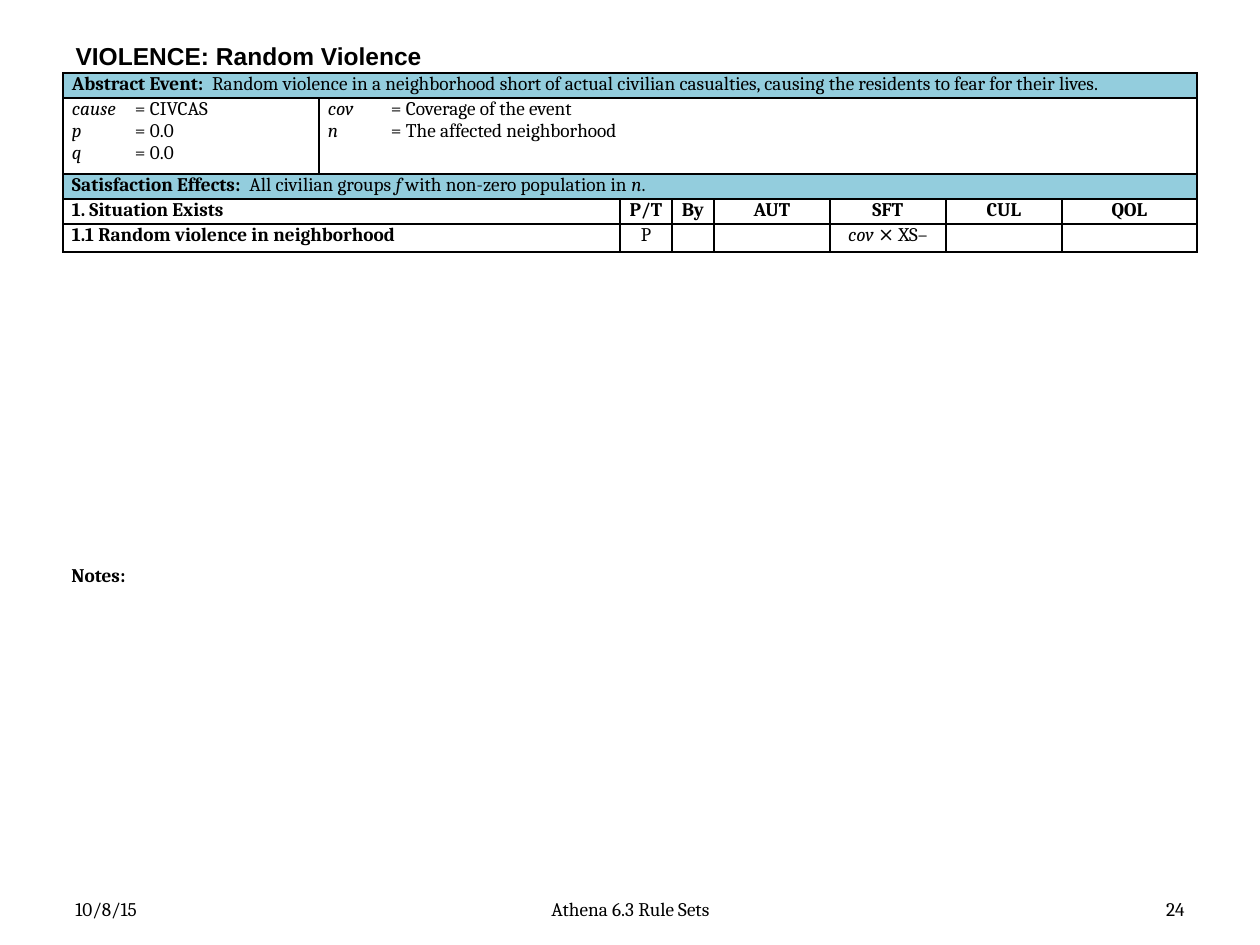
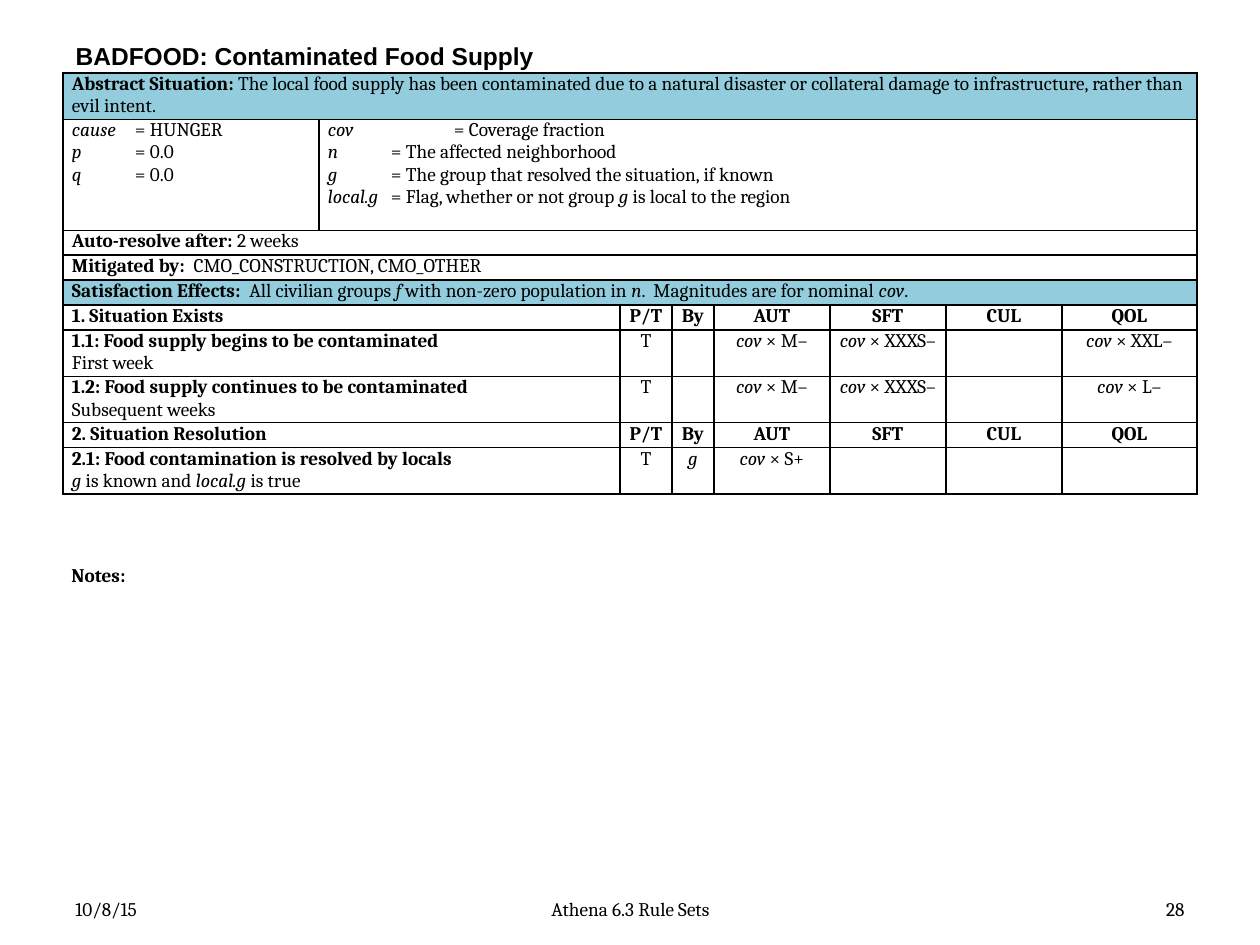
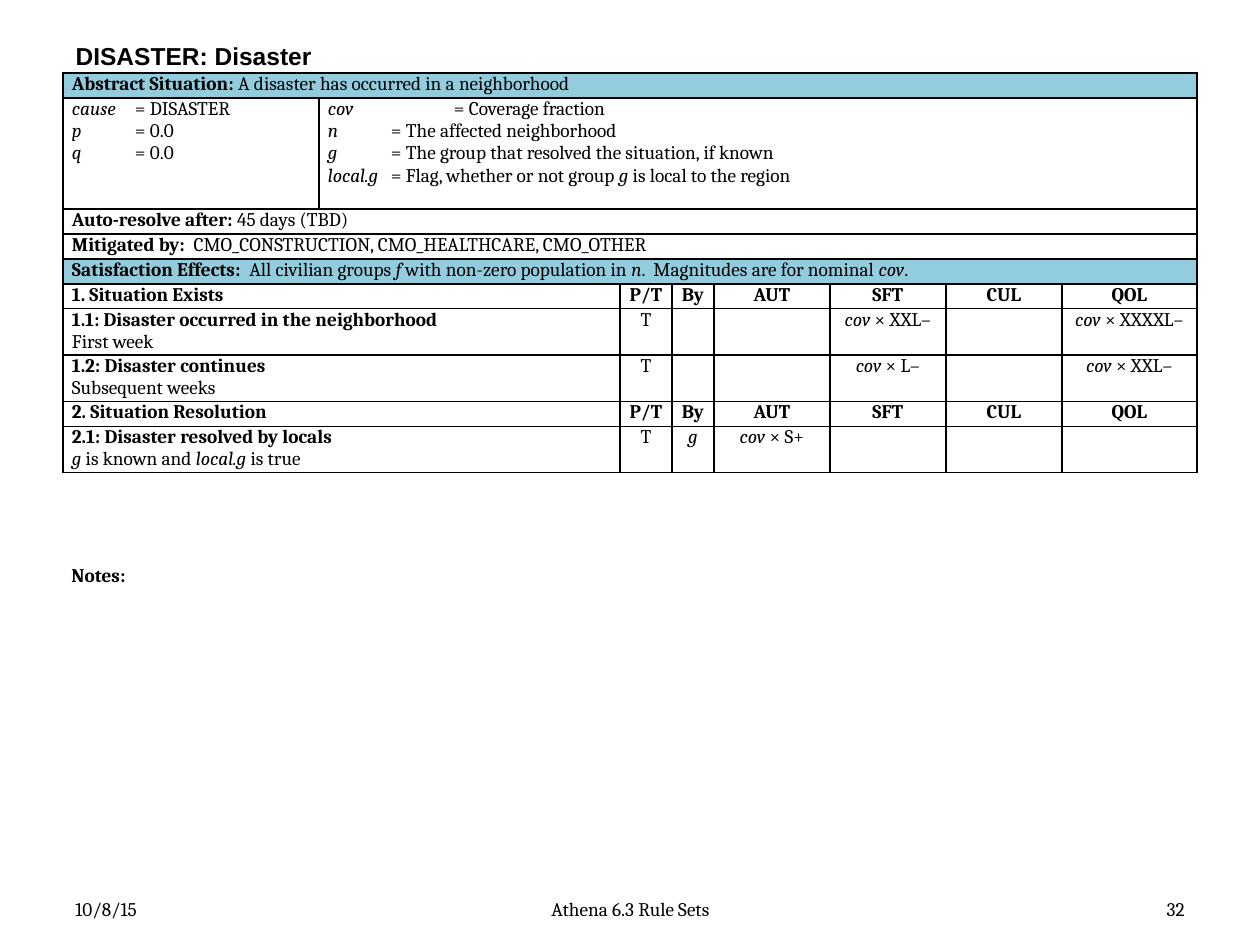
from dataclasses import dataclass
from typing import Any, NamedTuple

from lxml import etree
from pptx import Presentation
from pptx.dml.color import RGBColor
from pptx.enum.text import MSO_ANCHOR, PP_ALIGN
from pptx.oxml import parse_xml
from pptx.oxml.ns import nsdecls, qn
from pptx.util import Pt

LEFT, MID, RIGHT = PP_ALIGN.LEFT, PP_ALIGN.CENTER, PP_ALIGN.RIGHT
TOP, CENTER = MSO_ANCHOR.TOP, MSO_ANCHOR.MIDDLE

SCALE = 914400 / 126
BLACK, WHITE, BAND = "000000", "FFFFFF", "93CDDD"
BODY = {"name": "Cambria", "size": Pt(11)}
HEAD = {"name": "Arial", "size": Pt(14), "bold": True}

COLS = (256, 301, 52, 42, 116, 116, 116, 135)
SPANS = {1: (8,), 2: (1, 7), 7: (2, 1, 1, 1, 1, 1, 1)}
LINE, PAIR, SHORT, TALL = 25, 45, 76, 111
TAB = 63


class Box(NamedTuple):
    x: int
    y: int
    w: int
    h: int


class Term(NamedTuple):
    """A symbol, and its meaning at a tab stop."""
    name: str
    text: str
    stop: int = TAB


@dataclass
class Row:
    cells: tuple
    high: int = LINE
    fill: str = WHITE


@dataclass
class Page:
    title: str
    num: str
    rows: list[Row]


TITLE = Box(63, 38, 1134, 35)
GRID = Box(63, 73, 1134, 0)
NOTES = Box(59, 557, 1144, 36)
DATE = Box(63, 892, 294, 34)
NAME = Box(431, 892, 399, 34)
PAGE = Box(903, 892, 294, 34)


def px(n: float) -> int:
    return round(n * SCALE)


def color(code: str) -> RGBColor:
    return RGBColor.from_string(code)


def style(font: Any, form: dict) -> None:
    for key, val in form.items():
        setattr(font, key, val)
    font.color.rgb = color(BLACK)


def write(para: Any, text: str, form: dict, align: Any = LEFT) -> None:
    """Add runs: *stars* mark bold and ~tildes~ mark italic."""
    para.alignment = align
    for i, part in enumerate(text.split("*")):
        for j, bit in enumerate(part.split("~")):
            if bit:
                run = para.add_run()
                run.text = bit
                style(run.font, {"bold": i % 2 == 1, "italic": j % 2 == 1} | form)


def place(shape: Any, box: Box) -> None:
    for key, val in zip(("left", "top", "width", "height"), box):
        setattr(shape, key, px(val))


def label(slide: Any, box: Box, text: str, align: Any = LEFT, anchor: Any = CENTER) -> None:
    shape = slide.shapes.add_textbox(*map(px, box))
    frame = shape.text_frame
    frame.word_wrap, frame.vertical_anchor = True, anchor
    write(frame.paragraphs[0], text, BODY, align)


def stop(para: Any, pos: int) -> None:
    tabs = etree.SubElement(para._p.get_or_add_pPr(), qn("a:tabLst"))
    etree.SubElement(tabs, qn("a:tab"), pos=str(px(pos)), algn="l")


def frame(cell: Any, fill: str) -> None:
    """Give a cell its borders, fill and margins."""
    props = cell._tc.get_or_add_tcPr()
    for side in "LRTB":
        props.append(parse_xml(
            f'<a:ln{side} w="12700" {nsdecls("a")}><a:solidFill>'
            f'<a:srgbClr val="{BLACK}"/></a:solidFill></a:ln{side}>'))
    cell.fill.solid()
    cell.fill.fore_color.rgb = color(fill)
    cell.margin_left = cell.margin_right = px(9)
    cell.margin_top = cell.margin_bottom = 0


def fill_cell(cell: Any, item: Any, align: Any) -> None:
    lines = item.split("\n") if isinstance(item, str) else item
    body = cell.text_frame
    for n, line in enumerate(lines):
        para = body.add_paragraph() if n else body.paragraphs[0]
        if isinstance(line, Term):
            stop(para, line.stop)
            line = f"~{line.name}~\t{line.text}"
        write(para, line, BODY, align)
        if not line:
            etree.SubElement(para._p, qn("a:endParaRPr"), sz="1100")


def grid(slide: Any, rows: list[Row]) -> None:
    box = GRID._replace(h=sum(row.high for row in rows))
    table = slide.shapes.add_table(len(rows), len(COLS), *map(px, box)).table
    table.first_row = table.horz_banding = False
    for col, wide in zip(table.columns, COLS):
        col.width = px(wide)
    for r, row in enumerate(rows):
        table.rows[r].height = px(row.high)
        for c in range(len(COLS)):
            frame(table.cell(r, c), row.fill)
        c = 0
        for n, (item, span) in enumerate(zip(row.cells, SPANS[len(row.cells)])):
            cell = table.cell(r, c)
            if span > 1:
                cell.merge(table.cell(r, c + span - 1))
            fill_cell(cell, item, MID if len(row.cells) == 7 and n else LEFT)
            c += span


def band(text: str, high: int = LINE) -> Row:
    return Row((text,), high, BAND)


def terms(cause: str, defs: tuple, high: int) -> Row:
    keys = (Term("cause", f"= {cause}"), Term("p", "= 0.0"), Term("q", "= 0.0"))
    return Row((keys, defs), high)


def effects(more: str = "") -> Row:
    return band("*Satisfaction Effects:  *All civilian groups ~f ~with non-zero "
                f"population in ~n~.{more}")


def heads(text: str) -> Row:
    names = (text, "P/T", "By", "AUT", "SFT", "CUL", "QOL")
    return Row(tuple(f"*{name}*" for name in names))


def rule(name: str, note: str, by: str = "", aut: str = "", sft: str = "",
         qol: str = "") -> Row:
    aut, sft, qol = (f"~cov~ × {size}" if size else "" for size in (aut, sft, qol))
    return Row((f"*{name}*\n{note}", "T", by, aut, sft, "", qol), PAIR)


def crisis(intro: Row, cause: str, after: str, eased: str, first: Row, later: Row,
           fixed: str) -> list[Row]:
    """Rows of an abstract situation."""
    return [
        intro,
        terms(cause, SITUATION, TALL),
        Row((f"*Auto-resolve after:* {after}",)),
        Row((f"*Mitigated by:*  {eased}",)),
        effects("  Magnitudes are for nominal ~cov~."),
        heads("1. Situation Exists"),
        first,
        later,
        heads("2. Situation Resolution"),
        rule(fixed, "~g~ is known and ~local.g~ is true", by="~g~", aut="S+"),
    ]


AREA = Term("n", "= The affected neighborhood")
EVENT = (Term("cov", "= Coverage of the event"), AREA)
SITUATION = (
    Term("cov", "= Coverage fraction", 2 * TAB),
    AREA,
    Term("g", "= The group that resolved the situation, if known"),
    Term("local.g", "= Flag, whether or not group ~g~ is local to the region"),
)
FIRST, LATER = "First week", "Subsequent weeks"

PAGES = (
    Page("VIOLENCE: Random Violence", "24", [
        band("*Abstract Event:*  Random violence in a neighborhood short of actual "
             "civilian casualties, causing the residents to fear for their lives."),
        terms("CIVCAS", EVENT, SHORT),
        effects(),
        heads("1. Situation Exists"),
        Row(("*1.1 Random violence in neighborhood*", "P", "", "",
             "~cov ~⨯ XS–", "", ""), 28),
    ]),
    Page("BADFOOD: Contaminated Food Supply", "28", crisis(
        band("*Abstract Situation:* The local food supply has been contaminated due to "
             "a natural disaster or collateral damage to infrastructure, rather than "
             "evil intent.", PAIR),
        "HUNGER", "2 weeks", "CMO_CONSTRUCTION, CMO_OTHER",
        rule("1.1: Food supply begins to be contaminated", FIRST,
             aut="M–", sft="XXXS–", qol="XXL–"),
        rule("1.2: Food supply continues to be contaminated", LATER,
             aut="M–", sft="XXXS–", qol="L–"),
        "2.1: Food contamination is resolved by locals")),
    Page("DISASTER: Disaster", "32", crisis(
        band("*Abstract Situation:* A disaster has occurred in a neighborhood"),
        "DISASTER", "45 days (TBD)", "CMO_CONSTRUCTION, CMO_HEALTHCARE, CMO_OTHER",
        rule("1.1: Disaster occurred in the neighborhood", FIRST,
             sft="XXL–", qol="XXXXL–"),
        rule("1.2: Disaster continues", LATER, sft="L–", qol="XXL–"),
        "2.1: Disaster resolved by locals")),
)


def draw(deck: Any, page: Page) -> None:
    slide = deck.slides.add_slide(deck.slide_layouts[5])
    title = slide.shapes.title
    place(title, TITLE)
    title.text_frame.vertical_anchor = CENTER
    write(title.text_frame.paragraphs[0], page.title, HEAD)
    label(slide, DATE, "10/8/15")
    label(slide, NAME, "Athena 6.3 Rule Sets", MID)
    label(slide, PAGE, page.num, RIGHT)
    grid(slide, page.rows)
    label(slide, NOTES, "*Notes:*", anchor=TOP)


def main() -> None:
    deck = Presentation()
    deck.slide_width, deck.slide_height = px(1260), px(945)
    for page in PAGES:
        draw(deck, page)
    deck.save("out.pptx")


if __name__ == "__main__":
    main()
